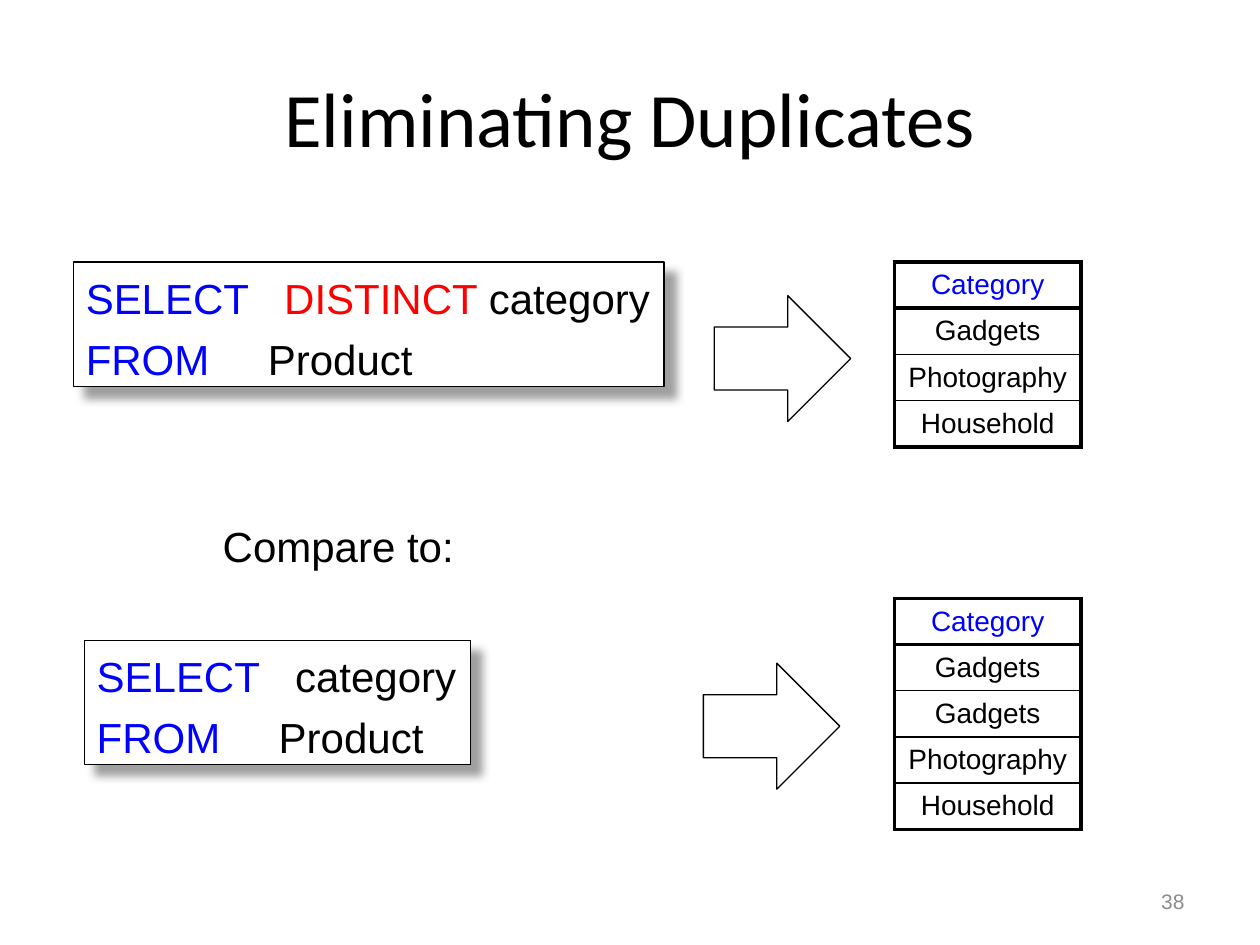
from lxml.etree import SubElement
from pptx import Presentation
from pptx.dml.color import RGBColor
from pptx.enum.shapes import MSO_SHAPE
from pptx.enum.text import MSO_ANCHOR, PP_ALIGN
from pptx.oxml import parse_xml
from pptx.oxml.ns import nsdecls, qn
from pptx.util import Cm, Pt

COLORS = {"keyword": "0000FF", "distinct": "FF0000", "text": "000000",
          "paper": "FFFFFF", "shadow": "808080", "number": "8C8C8C"}
FONT = "Arial"

# Content: places in cm; each query line is (tab stop, [(text, color), ...])
TITLE = "Eliminating Duplicates"
FROM_LINE = (3.67, [("FROM", "keyword"), ("\tProduct", "text")])
QUERIES = [
    ((1.48, 5.28, 11.91, 2.51),
     [(4, [("SELECT\t", "keyword"), ("DISTINCT ", "distinct"), ("category", "text")]),
      FROM_LINE]),
    ((1.7, 12.91, 7.78, 2.51),
     [(4, [("SELECT", "keyword"), ("\tcategory", "text")]), FROM_LINE]),
]
LABELS = [
    ((4.24, 10.36, 5.4, 1.27), "Compare to:", 24, "text", PP_ALIGN.LEFT),
    ((18.21, 17.65, 5.92, 1.02), "38", 12, "number", PP_ALIGN.RIGHT),
]
RESULTS = [
    (5.28, ["Category", "Gadgets", "Photography", "Household"]),
    (12.06, ["Category", "Gadgets", "Gadgets", "Photography", "Household"]),
]
RESULT_LEFT, RESULT_WIDTH, ROW_HEIGHT = 18.03, 3.76, 0.93
ARROWS = [(14.4, 5.96), (14.18, 13.37)]
ARROW_SIZE = (2.75, 2.54)
THICK, THIN = 2.25, 1


def rgb(name):
    return RGBColor.from_string(COLORS[name])


def style(font, size, color=None):
    font.name, font.size = FONT, Pt(size)
    if color:
        font.color.rgb = rgb(color)


def add_outlined(page, kind, place):
    shape = page.shapes.add_shape(kind, *map(Cm, place))
    shape.shadow.inherit = False
    shape.line.color.rgb = rgb("text")
    shape.line.width = Pt(0.75)
    return shape


def add_shadow(shape):
    effects = shape._element.spPr.find(qn("a:effectLst"))
    effects.append(parse_xml(
        f'<a:outerShdw {nsdecls("a")} blurRad="{Pt(5)}" dist="{Pt(8.5)}" '
        f'dir="2700000" algn="ctr" rotWithShape="0">'
        f'<a:srgbClr val="{COLORS["shadow"]}"><a:alpha val="75000"/></a:srgbClr>'
        f'</a:outerShdw>'))


def add_query(page, place, lines):
    box = add_outlined(page, MSO_SHAPE.RECTANGLE, place)
    box.fill.solid()
    box.fill.fore_color.rgb = rgb("paper")
    add_shadow(box)
    frame = box.text_frame
    frame.word_wrap = True
    frame.vertical_anchor = MSO_ANCHOR.TOP
    frame.margin_top, frame.margin_right = Cm(0.21), Cm(0)
    for index, (stop, spans) in enumerate(lines):
        paragraph = frame.paragraphs[0] if index == 0 else frame.add_paragraph()
        tabs = SubElement(paragraph._p.get_or_add_pPr(), qn("a:tabLst"))
        SubElement(tabs, qn("a:tab"), pos=str(Cm(stop)), algn="l")
        paragraph.alignment = PP_ALIGN.LEFT
        if index:
            paragraph.space_before = Pt(6)
        style(paragraph.font, 24)
        for text, color in spans:
            span = paragraph.add_run()
            span.text = text
            span.font.color.rgb = rgb(color)


def add_label(page, place, text, size, color, alignment):
    box = page.shapes.add_textbox(*map(Cm, place))
    frame = box.text_frame
    frame.word_wrap = True
    frame.vertical_anchor = MSO_ANCHOR.MIDDLE
    frame.text = text
    paragraph = frame.paragraphs[0]
    paragraph.alignment = alignment
    style(paragraph.font, size, color)


def set_borders(cell, widths):
    properties = cell._tc.get_or_add_tcPr()
    for side, width in widths.items():
        line = SubElement(properties, qn(f"a:ln{side}"), w=str(Pt(width)))
        fill = SubElement(line, qn("a:solidFill"))
        SubElement(fill, qn("a:srgbClr"), val=COLORS["text"])


def add_result(page, top, values):
    last = len(values) - 1
    table = page.shapes.add_table(
        len(values), 1, Cm(RESULT_LEFT), Cm(top), Cm(RESULT_WIDTH),
        Cm(ROW_HEIGHT * len(values))).table
    table.first_row = table.horz_banding = False
    for index, value in enumerate(values):
        table.rows[index].height = Cm(ROW_HEIGHT)
        cell = table.cell(index, 0)
        # The header and the outer frame are thick
        set_borders(cell, {"L": THICK, "R": THICK,
                           "T": THICK if index < 2 else THIN,
                           "B": THICK if index in (0, last) else THIN})
        cell.fill.background()
        cell.vertical_anchor = MSO_ANCHOR.MIDDLE
        cell.margin_left = cell.margin_right = Cm(0.1)
        cell.text = value
        paragraph = cell.text_frame.paragraphs[0]
        paragraph.alignment = PP_ALIGN.CENTER
        style(paragraph.font, 16, "text" if index else "keyword")


def main():
    deck = Presentation()
    deck.slide_width, deck.slide_height = Cm(25.4), Cm(19.05)
    page = deck.slides.add_slide(deck.slide_layouts[5])

    # Title
    title = page.shapes.title
    title.left, title.top, title.width, title.height = map(Cm, (1.27, 0.76, 22.86, 3.18))
    title.text_frame.text = TITLE
    title.text_frame.vertical_anchor = MSO_ANCHOR.MIDDLE
    heading = title.text_frame.paragraphs[0]
    heading.alignment = PP_ALIGN.CENTER
    style(heading.font, 44, "text")
    heading.font.name = "Calibri"

    # Queries, labels and result tables
    for place, lines in QUERIES:
        add_query(page, place, lines)
    for label in LABELS:
        add_label(page, *label)
    for top, values in RESULTS:
        add_result(page, top, values)

    # Arrows from query to result
    for corner in ARROWS:
        arrow = add_outlined(page, MSO_SHAPE.RIGHT_ARROW, corner + ARROW_SIZE)
        arrow.fill.background()

    deck.save("out.pptx")


if __name__ == "__main__":
    main()
